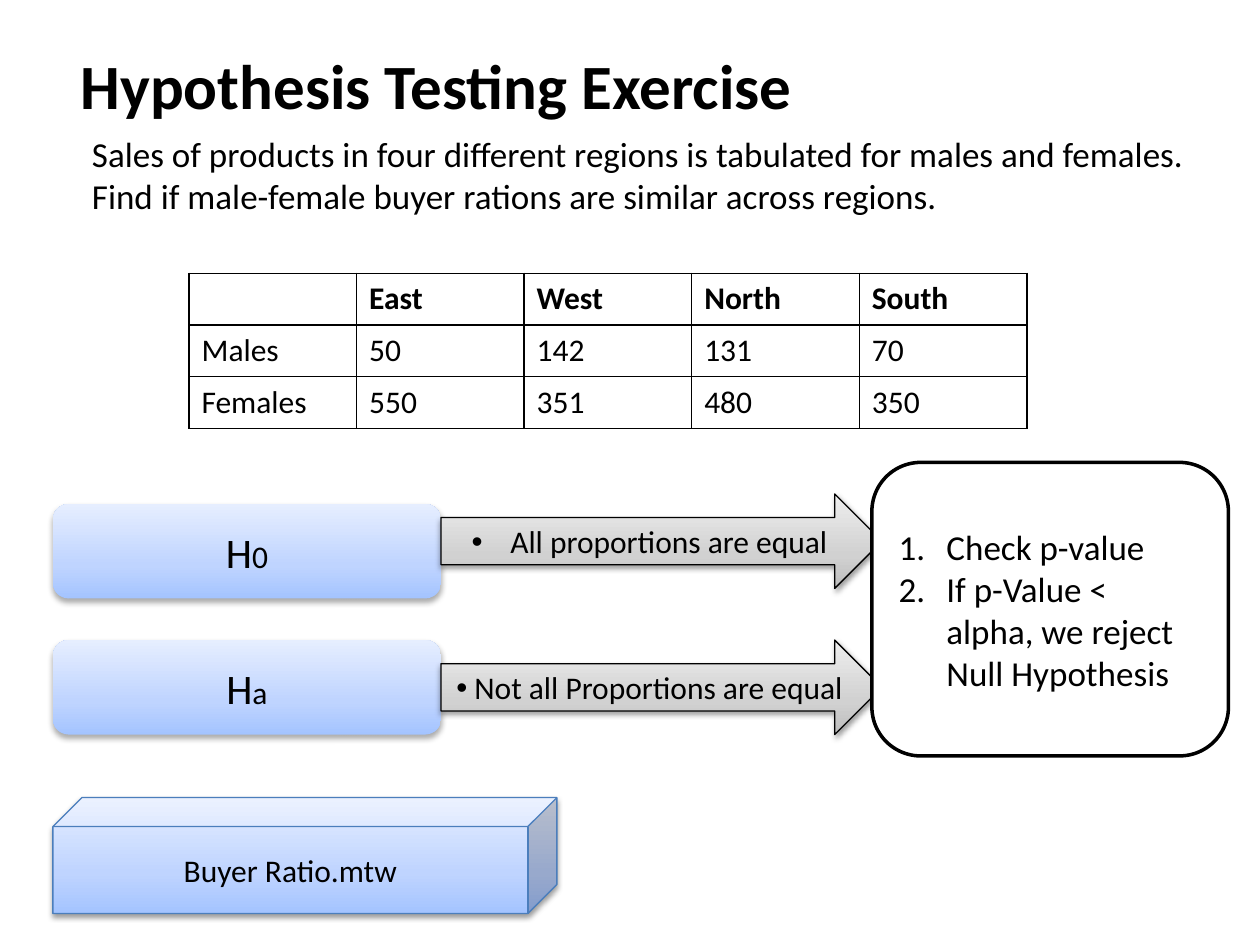
import pptx
import pptx.util
import pptx.oxml
import pptx.oxml.ns
import pptx.dml.color
import pptx.enum.text
import pptx.enum.shapes
from pptx.util import Inches

COLORS = {
    "black": "000000", "white": "FFFFFF", "cube_edge": "4B7EBC",
    "blue_dark": "A4C4FF", "blue_mid": "BFD4FF", "blue_light": "E6EEFF",
    "gray_dark": "BDBDBD", "gray_mid": "D1D1D1", "gray_light": "EEEEEE",
}
BLUE = ("blue_dark", "blue_mid", "blue_light")
GRAY = ("gray_dark", "gray_mid", "gray_light")
SOFT_SHADOW = (32, 3.5, 2.2)
EDGE_SHADOW = (38, 3.1, 1.6)
ALIGN = pptx.enum.text.PP_ALIGN
ANCHOR = pptx.enum.text.MSO_ANCHOR
SHAPE = pptx.enum.shapes.MSO_SHAPE


def rgb(name):
    return pptx.dml.color.RGBColor.from_string(COLORS[name])


def add_xml(parent, tag, **attributes):
    child = parent.makeelement(pptx.oxml.ns.qn(tag), {k: str(v) for k, v in attributes.items()})
    parent.append(child)
    return child


class SlideBuilder:
    font = "Calibri"

    def __init__(self, slide):
        self.slide = slide

    def place(self, shape, left, top, width, height):
        shape.left, shape.top = Inches(left), Inches(top)
        shape.width, shape.height = Inches(width), Inches(height)

    def format_run(self, run, size, bold=False):
        run.font.name = self.font
        run.font.size = pptx.util.Pt(size)
        run.font.bold = bold
        run.font.color.rgb = rgb("black")

    def set_text(self, frame, paragraphs, size, align=ALIGN.LEFT, anchor=ANCHOR.MIDDLE, bold=False):
        frame.text = "\n".join(paragraphs)
        frame.word_wrap = True
        frame.vertical_anchor = anchor
        for paragraph in frame.paragraphs:
            paragraph.alignment = align
            for run in paragraph.runs:
                self.format_run(run, size, bold)

    def indent(self, paragraph, margin, first=0.0):
        properties = paragraph._p.get_or_add_pPr()
        properties.set("marL", str(Inches(margin)))
        properties.set("indent", str(Inches(first)))
        return properties

    def title(self, text, *box):
        title = self.slide.shapes.title
        self.place(title, *box)
        self.set_text(title.text_frame, [text], 36, bold=True)

    def body(self, text, *box):
        body = self.slide.placeholders[1]
        self.place(body, *box)
        self.set_text(body.text_frame, [text], 20, anchor=ANCHOR.TOP)
        body.text_frame.auto_size = pptx.enum.text.MSO_AUTO_SIZE.NONE
        add_xml(self.indent(body.text_frame.paragraphs[0], 0.38), "a:buNone")

    def table(self, rows, left, top, column_width, row_height):
        frame = self.slide.shapes.add_table(
            len(rows), len(rows[0]), Inches(left), Inches(top),
            Inches(column_width * len(rows[0])), Inches(row_height * len(rows)))
        for row, values in zip(frame.table.rows, rows):
            row.height = Inches(row_height)
            for cell, value in zip(row.cells, values):
                self.set_text(cell.text_frame, [value], 18, anchor=ANCHOR.TOP,
                              bold=values is rows[0])
                self.borders(cell)
                cell.fill.background()

    def borders(self, cell):
        properties = cell._tc.get_or_add_tcPr()
        for side in ("a:lnL", "a:lnR", "a:lnT", "a:lnB"):
            line = add_xml(properties, side, w=pptx.util.Pt(1))
            add_xml(add_xml(line, "a:solidFill"), "a:srgbClr", val=COLORS["black"])

    def gradient(self, shape, stops):
        shape.fill.gradient()
        shape.fill.gradient_angle = 90
        stop_list = shape.element.spPr.find(".//" + pptx.oxml.ns.qn("a:gsLst"))
        for stop in list(stop_list):
            stop_list.remove(stop)
        for position, name in zip((0, 35, 100), stops):
            stop = add_xml(stop_list, "a:gs", pos=position * 1000)
            add_xml(stop, "a:srgbClr", val=COLORS[name])

    def drop_shadow(self, shape, opacity, blur, distance):
        effects = shape.element.spPr.find(pptx.oxml.ns.qn("a:effectLst"))
        shadow = add_xml(effects, "a:outerShdw", blurRad=pptx.util.Pt(blur),
                         dist=pptx.util.Pt(distance), dir=5400000, rotWithShape=0)
        color = add_xml(shadow, "a:srgbClr", val=COLORS["black"])
        add_xml(color, "a:alpha", val=opacity * 1000)

    def shape(self, kind, box, paragraphs, size=18, stops=None, line=None, weight=0.75,
              shadow=None, align=ALIGN.CENTER):
        shape = self.slide.shapes.add_shape(kind, *map(Inches, box))
        if stops:
            self.gradient(shape, stops)
        else:
            shape.fill.solid()
            shape.fill.fore_color.rgb = rgb("white")
        if line:
            shape.line.color.rgb = rgb(line)
            shape.line.width = pptx.util.Pt(weight)
        else:
            shape.line.fill.background()
        shape.shadow.inherit = False
        if shadow:
            self.drop_shadow(shape, *shadow)
        self.set_text(shape.text_frame, paragraphs, size, align)
        return shape

    def hypothesis(self, subscript, top):
        box = self.shape(SHAPE.ROUNDED_RECTANGLE, (0.42, top, 3.08, 0.75), ["H"], 24,
                         BLUE, shadow=SOFT_SHADOW)
        run = box.text_frame.paragraphs[0].add_run()
        run.text = subscript
        self.format_run(run, 18)

    def claim(self, text, top, hanging):
        arrow = self.shape(SHAPE.RIGHT_ARROW, (3.5, top, 3.5, 0.75), [text], stops=GRAY,
                           line="black", shadow=EDGE_SHADOW)
        properties = self.indent(arrow.text_frame.paragraphs[0], hanging, -hanging)
        add_xml(properties, "a:buFont", typeface="Arial")
        add_xml(properties, "a:buChar", char="•")

    def steps(self, items, *box):
        panel = self.shape(SHAPE.ROUNDED_RECTANGLE, box, items, 20, line="black", weight=2,
                           align=ALIGN.LEFT)
        for paragraph in panel.text_frame.paragraphs:
            properties = self.indent(paragraph, 0.38, -0.38)
            add_xml(properties, "a:buFont", typeface="+mj-lt")
            add_xml(properties, "a:buAutoNum", type="arabicPeriod")


deck = pptx.Presentation()
deck.slide_width, deck.slide_height = Inches(10), Inches(7.5)
exercise = SlideBuilder(deck.slides.add_slide(deck.slide_layouts[1]))

exercise.title("Hypothesis Testing Exercise", 0.54, 0.28, 9, 0.78)
exercise.body("Sales of products in four different regions is tabulated for males and females. "
              "Find if male-female buyer rations are similar across regions.", 0.25, 1, 9.58, 6.25)
sales = [
    ["", "East", "West", "North", "South"],
    ["Males", "50", "142", "131", "70"],
    ["Females", "550", "351", "480", "350"],
]
exercise.table(sales, 1.5, 2.17, 1.33, 0.41)

for subscript, top in (("0", 4), ("a", 5.08)):
    exercise.hypothesis(subscript, top)
for claim, top, hanging in ((" All proportions are equal", 3.92, 0.25),
                            (" Not all Proportions are equal", 5.08, 0)):
    exercise.claim(claim, top, hanging)

exercise.steps(["Check p-value", "If p-Value < alpha, we reject Null Hypothesis"],
               6.92, 3.67, 2.83, 2.33)
exercise.shape(SHAPE.CUBE, (0.42, 6.33, 4, 0.92), ["Buyer Ratio.mtw"], stops=BLUE,
               line="cube_edge", shadow=EDGE_SHADOW)

deck.save("out.pptx")
